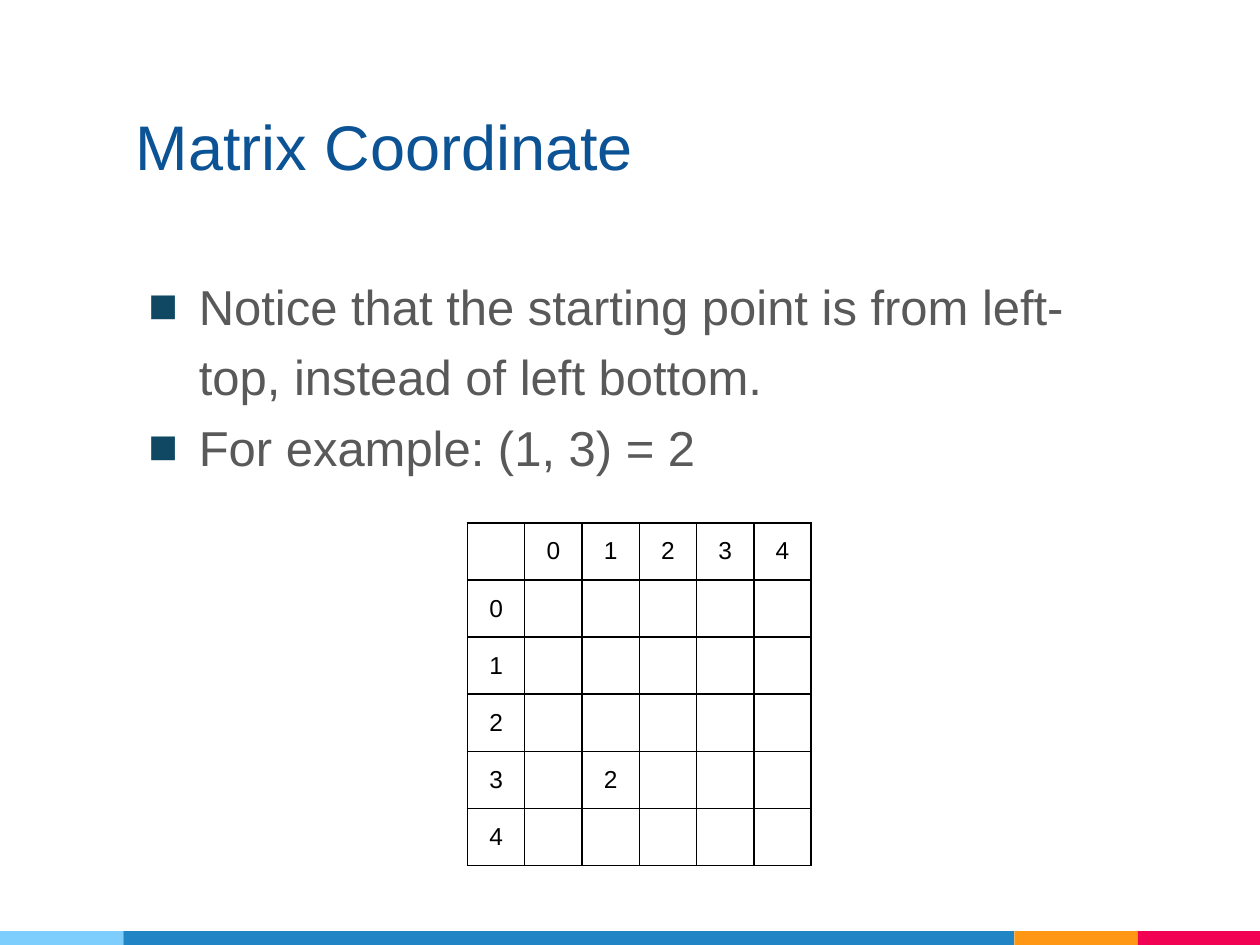
from lxml import etree
from pptx import Presentation
from pptx.dml.color import RGBColor
from pptx.enum import shapes, text
from pptx.oxml import ns
from pptx.util import Inches, Pt

FONT = "Arial"
WHITE = RGBColor(0xFF, 0xFF, 0xFF)
BLACK = RGBColor(0x00, 0x00, 0x00)
TITLE_BLUE = RGBColor(0x0B, 0x53, 0x94)
BODY_GRAY = RGBColor(0x59, 0x59, 0x59)
BULLET_TEAL = RGBColor(0x10, 0x48, 0x64)
SKY = RGBColor(0x7E, 0xCE, 0xFD)
BLUE = RGBColor(0x21, 0x85, 0xC5)
ORANGE = RGBColor(0xFF, 0x97, 0x15)
PINK = RGBColor(0xF2, 0x02, 0x53)


def set_font(font, size, color):
    font.name = FONT
    font.size = Pt(size)
    font.color.rgb = color


def add_text(slide, box, lines, size, color, anchor):
    frame = slide.shapes.add_textbox(*map(Inches, box)).text_frame
    frame.word_wrap = True
    frame.vertical_anchor = anchor
    frame.margin_left = frame.margin_right = Inches(0.1)
    frame.margin_top = frame.margin_bottom = Inches(0.1)
    frame.text = "\n".join(lines)
    for paragraph in frame.paragraphs:
        set_font(paragraph.runs[0].font, size, color)
    return frame


def add_bullets(slide, box, lines):
    frame = add_text(slide, box, lines, 28, BODY_GRAY, text.MSO_ANCHOR.TOP)
    for paragraph in frame.paragraphs:
        paragraph.line_spacing = 1.2
        properties = paragraph._p.get_or_add_pPr()
        properties.set("marL", str(Inches(0.5)))
        properties.set("indent", str(Inches(-0.4)))
        bullet_color = etree.SubElement(properties, ns.qn("a:buClr"))
        etree.SubElement(bullet_color, ns.qn("a:srgbClr"), val=str(BULLET_TEAL))
        etree.SubElement(properties, ns.qn("a:buFont"), typeface=FONT)
        etree.SubElement(properties, ns.qn("a:buChar"), char="■")


def add_footer(slide, left, top, height, bands):
    for width, color in bands:
        band = slide.shapes.add_shape(
            shapes.MSO_SHAPE.RECTANGLE,
            Inches(left), Inches(top), Inches(width), Inches(height))
        band.shadow.inherit = False
        band.fill.solid()
        band.fill.fore_color.rgb = color
        band.line.fill.background()
        left += width


def add_borders(cell):
    properties = cell._tc.get_or_add_tcPr()
    for index, side in enumerate(("a:lnL", "a:lnR", "a:lnT", "a:lnB")):
        line = etree.Element(ns.qn(side), w=str(Pt(1)))
        fill = etree.SubElement(line, ns.qn("a:solidFill"))
        etree.SubElement(fill, ns.qn("a:srgbClr"), val=str(BLACK))
        properties.insert(index, line)


def add_matrix(slide, left, top, width, height, count, values):
    size = count + 1
    table = slide.shapes.add_table(
        size, size, Inches(left), Inches(top), Inches(width), Inches(height)).table
    table.first_row = table.horz_banding = False
    # Headings number the columns (x) and rows (y) from the top left
    labels = {(x + 1, y + 1): value for (x, y), value in values.items()}
    for number in range(count):
        labels[number + 1, 0] = labels[0, number + 1] = number
    for line in (*table.columns,):
        line.width = Inches(width / size)
    for line in table.rows:
        line.height = Inches(height / size)
    for row in range(size):
        for column in range(size):
            cell = table.cell(row, column)
            cell.fill.solid()
            cell.fill.fore_color.rgb = WHITE
            cell.vertical_anchor = text.MSO_ANCHOR.MIDDLE
            cell.text = str(labels.get((column, row), ""))
            paragraph = cell.text_frame.paragraphs[0]
            paragraph.alignment = text.PP_ALIGN.CENTER
            for target in (paragraph, *paragraph.runs):
                set_font(target.font, 14, BLACK)
            add_borders(cell)


presentation = Presentation()
presentation.slide_width = Inches(10)
presentation.slide_height = Inches(7.5)
slide = presentation.slides.add_slide(presentation.slide_layouts[6])

# Footer stripe
add_footer(slide, 0, 7.39, 0.11,
           [(0.98, SKY), (7.07, BLUE), (0.98, ORANGE), (0.97, PINK)])

# Title and bullets
add_text(slide, (0.98, 0.3, 8.19, 1.25), ["Matrix Coordinate"],
         36, TITLE_BLUE, text.MSO_ANCHOR.BOTTOM)
add_bullets(slide, (0.98, 2, 8.19, 1.36), [
    "Notice that the starting point is from left-top, instead of left bottom.",
    "For example: (1, 3) = 2",
])

# Coordinate matrix
add_matrix(slide, 3.71, 4.15, 2.73, 2.72, 5, {(1, 3): 2})

presentation.save("out.pptx")
